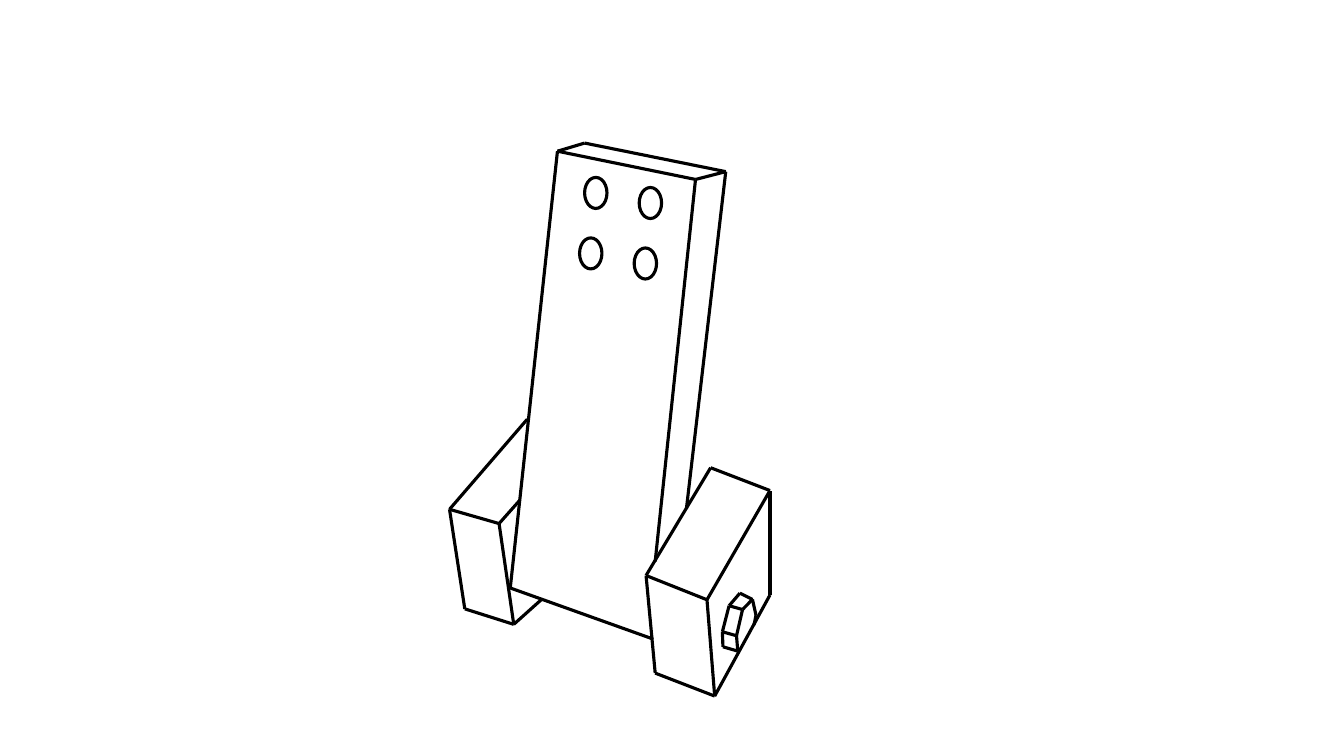
"""Line drawing of a plate on two blocks, with bolt holes and a nut."""
from dataclasses import dataclass
from itertools import pairwise, product

from lxml import etree
from pptx import Presentation
from pptx import util as u
from pptx.dml.color import RGBColor
from pptx.enum import shapes
from pptx.oxml.ns import qn

BLACK = RGBColor(0, 0, 0)
WIDTH = 2.25
Point = tuple[float, float]


@dataclass(frozen=True)
class Part:
    """A body of the drawing: its corners and the paths that join them."""
    corners: dict[str, Point]
    paths: tuple[str, ...]


@dataclass(frozen=True)
class Holes:
    """A skewed two-by-two grid of equal holes."""
    start: Point
    across: Point
    down: Point
    size: Point


PLATE = Part(
    {"a": (364.5, 420), "b": (398.2, 108), "c": (496.8, 128.2),
     "d": (468, 401), "e": (466.6, 456.5), "f": (518.4, 122.6),
     "g": (417.6, 102.2), "h": (490.3, 363.6)},
    ("eabcd", "bgfc", "fh"),
)
RIGHT = Part(
    {"a": (461.5, 411.1), "b": (507.6, 334.1), "c": (550, 350.4),
     "d": (505, 428.4), "e": (468, 480.8), "f": (510.5, 497.2),
     "g": (550, 425)},
    ("abcda", "aefd", "fgc"),
)
LEFT = Part(
    {"a": (321.1, 363.8), "b": (356.5, 374), "c": (332, 434.9),
     "d": (367, 446), "e": (376.6, 299.5), "f": (371.5, 357.1),
     "g": (386.6, 428.4)},
    ("eacdbf", "ab", "dg"),
)
NUT = Part(
    {"a": (530.4, 435.4), "b": (526.1, 454.1), "c": (527, 465.1),
     "d": (516.4, 462), "e": (516, 451.3), "f": (520.8, 432.7),
     "g": (528.5, 423.7), "h": (537.5, 428.2), "i": (540, 439.4),
     "j": (538.6, 446.4)},
    ("abcdefghij", "be", "fah"),
)
HOLES = Holes((417.6, 126.7), (39, 7.2), (-3.6, 43.2), (16, 22.2))


def draw_edge(slide, start: Point, end: Point) -> None:
    """Draw one straight edge without a shadow."""
    edge = slide.shapes.add_connector(
        shapes.MSO_CONNECTOR.STRAIGHT, *map(u.Pt, start + end))
    edge.line.color.rgb = BLACK
    edge.line.width = u.Pt(WIDTH)
    etree.SubElement(edge._element.spPr, qn("a:effectLst"))


def draw_part(slide, part: Part) -> None:
    """Draw every edge along the paths of a part."""
    for path in part.paths:
        for start, end in pairwise(path):
            draw_edge(slide, part.corners[start], part.corners[end])


def draw_holes(slide, holes: Holes) -> None:
    """Draw the grid of holes as open ellipses."""
    for row, col in product(range(2), repeat=2):
        left, top = (s + col * a + row * d for s, a, d in
                     zip(holes.start, holes.across, holes.down))
        hole = slide.shapes.add_shape(
            shapes.MSO_SHAPE.OVAL, *map(u.Pt, (left, top, *holes.size)))
        hole.shadow.inherit = False
        hole.fill.background()
        hole.line.color.rgb = BLACK
        hole.line.width = u.Pt(WIDTH)


def main() -> None:
    """Build and save the slide."""
    deck = Presentation()
    deck.slide_width, deck.slide_height = u.Pt(960), u.Pt(540)
    slide = deck.slides.add_slide(deck.slide_layouts[6])
    draw_part(slide, PLATE)
    draw_part(slide, RIGHT)
    draw_holes(slide, HOLES)
    draw_part(slide, LEFT)
    draw_part(slide, NUT)
    deck.save("out.pptx")


main()
